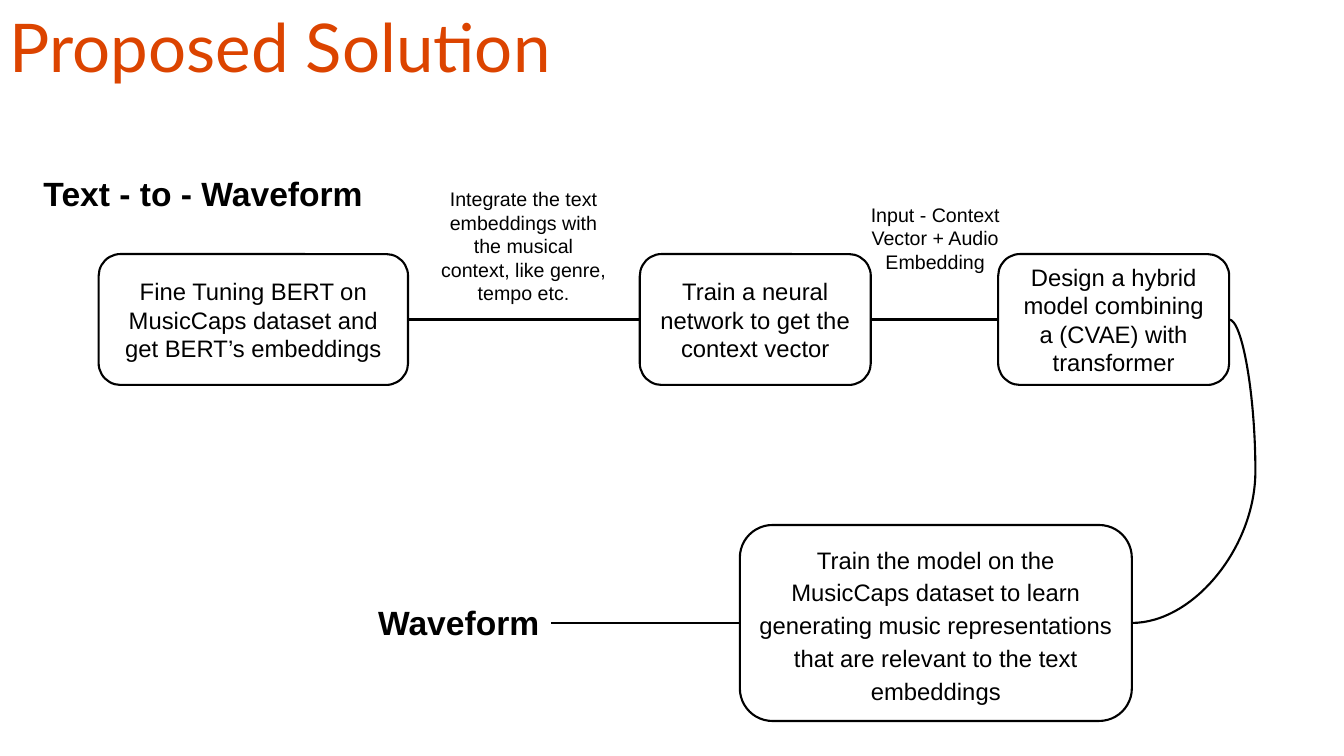
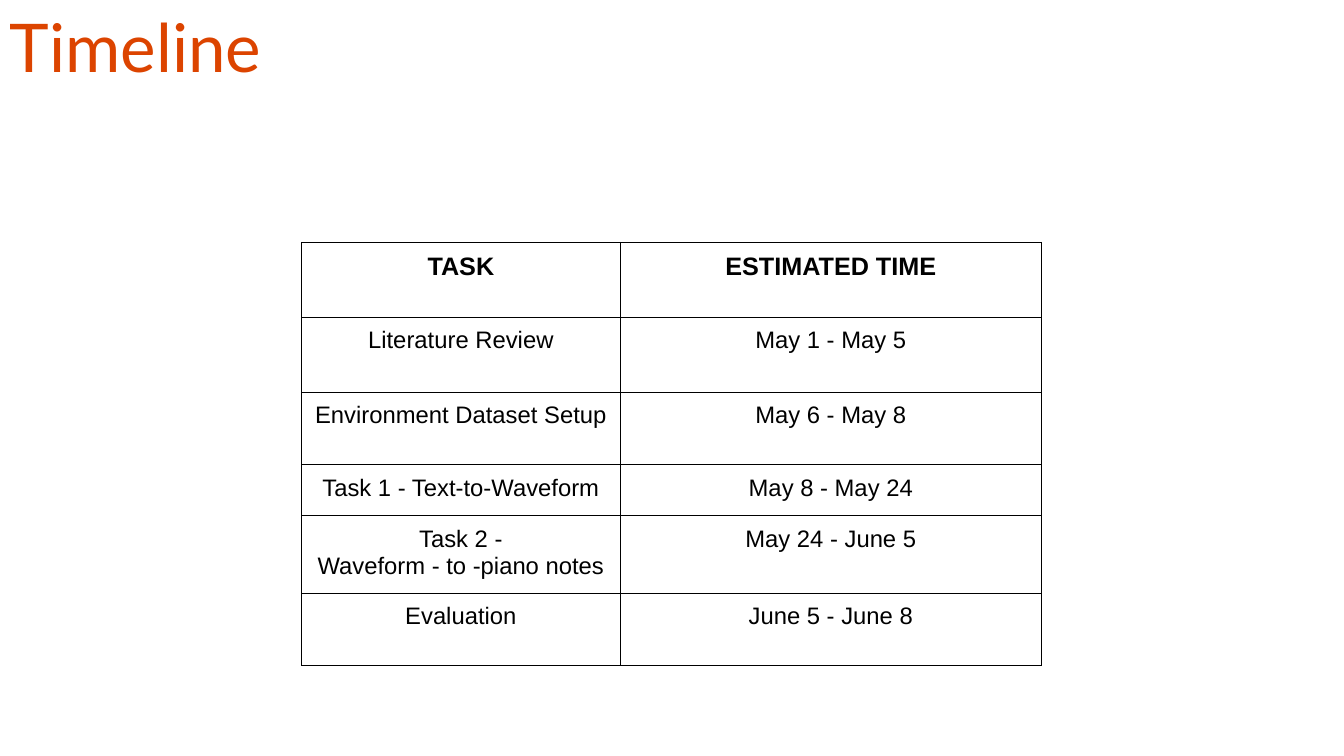
from lxml import etree
from pptx import Presentation
from pptx.dml.color import RGBColor
from pptx.enum.shapes import MSO_CONNECTOR, MSO_SHAPE
from pptx.enum.text import MSO_ANCHOR, PP_ALIGN
from pptx.oxml import parse_xml
from pptx.oxml.ns import nsdecls, qn
from pptx.util import Pt

ROUNDED = MSO_SHAPE.ROUNDED_RECTANGLE
STRAIGHT, CURVE = MSO_CONNECTOR.STRAIGHT, MSO_CONNECTOR.CURVE
LEFT, CENTER = PP_ALIGN.LEFT, PP_ALIGN.CENTER
TOP, MIDDLE = MSO_ANCHOR.TOP, MSO_ANCHOR.MIDDLE
LEFT_SITE, RIGHT_SITE = 1, 3

SLIDE_WIDTH, SLIDE_HEIGHT = 960, 540
ORANGE, BLACK = "DC4400", "000000"
LINE_WIDTH, BORDER_WIDTH = 1.5, 0.75
INSET = 7.2

TITLE = {"name": "Lato", "size": Pt(48), "color": ORANGE}
BODY = {"name": "Arial", "size": Pt(17), "color": BLACK}
HEADING = {**BODY, "size": Pt(24), "bold": True}
NOTE = {**BODY, "size": Pt(14)}
TABLE_HEAD = {**BODY, "size": Pt(18), "bold": True}

SCHEDULE = [
    ("TASK", "ESTIMATED TIME"),
    ("Literature Review", "May 1 - May 5"),
    ("Environment Dataset Setup", "May 6 - May 8"),
    ("Task 1 - Text-to-Waveform", "May 8 - May 24"),
    ("Task 2 -\nWaveform - to -piano notes", "May 24 - June 5"),
    ("Evaluation", "June 5 - June 8"),
]


def rgb(value):
    """Turn a hex string into a colour."""
    return RGBColor.from_string(value)


def points(*values):
    """Turn numbers into lengths in points."""
    return [Pt(value) for value in values]


def write(frame, text, font, align=LEFT, spacing=1.0):
    """Fill a text frame with one paragraph for each line of text."""
    for index, line in enumerate(text.split("\n")):
        paragraph = frame.add_paragraph() if index else frame.paragraphs[0]
        paragraph.alignment, paragraph.line_spacing = align, spacing
        run = paragraph.add_run()
        run.text = line
        for name, value in font.items():
            if name == "color":
                run.font.color.rgb = rgb(value)
            else:
                setattr(run.font, name, value)


def set_frame(frame, anchor, vertical_inset):
    """Set wrapping, anchor and margins of a text frame."""
    settings = {
        "word_wrap": True, "vertical_anchor": anchor,
        "margin_left": Pt(INSET), "margin_right": Pt(INSET),
        "margin_top": Pt(vertical_inset), "margin_bottom": Pt(vertical_inset),
    }
    for name, value in settings.items():
        setattr(frame, name, value)


def add_label(slide, box, text, font, align=LEFT, vertical_inset=INSET):
    """Add a text box."""
    shape = slide.shapes.add_textbox(*points(*box))
    set_frame(shape.text_frame, TOP, vertical_inset)
    write(shape.text_frame, text, font, align)
    return shape


def add_step(slide, box, text, spacing=1.0):
    """Add an outlined rounded box with centred text."""
    shape = slide.shapes.add_shape(ROUNDED, *points(*box))
    shape.shadow.inherit = False
    shape.fill.background()
    shape.line.color.rgb = rgb(BLACK)
    shape.line.width = Pt(LINE_WIDTH)
    set_frame(shape.text_frame, MIDDLE, INSET)
    write(shape.text_frame, text, BODY, CENTER, spacing)
    return shape


def connect(slide, start, start_site, end, end_site, bend=None):
    """Join two shapes by a straight line, or by a curve with the given bend."""
    kind = STRAIGHT if bend is None else CURVE
    connector = slide.shapes.add_connector(kind, 0, 0, 0, 0)
    connector.begin_connect(start, start_site)
    connector.end_connect(end, end_site)
    connector.line.color.rgb = rgb(BLACK)
    connector.line.width = Pt(LINE_WIDTH)
    properties = connector._element.spPr
    etree.SubElement(properties, qn("a:effectLst"))
    if bend is not None:
        geometry = properties.find(qn("a:prstGeom"))
        guides = geometry.find(qn("a:avLst"))
        guide = etree.SubElement(guides, qn("a:gd"))
        guide.set("name", "adj1")
        guide.set("fmla", f"val {round(bend * 100000)}")


def add_titled_slide(presentation, title):
    """Add a blank slide with the shared title style."""
    slide = presentation.slides.add_slide(presentation.slide_layouts[6])
    add_label(slide, (0, 0, 816, 93.5), title, TITLE, vertical_inset=3.6)
    return slide


def add_flow(slide, left, top):
    """Draw the text-to-waveform flow from its upper left corner."""
    def place(x, y, width, height):
        return left + x, top + y, width, height

    row, height = 65, 93.5
    add_label(slide, place(0, 0, 246, 47), "Text - to - Waveform", HEADING)
    tuning = add_step(slide, place(46.5, row, 221, height),
                      "Fine Tuning BERT on MusicCaps dataset and get BERT’s embeddings")
    network = add_step(slide, place(433, row, 165, height),
                       "Train a neural network to get the context vector")
    hybrid = add_step(slide, place(689, row, 165, height),
                      "Design a hybrid model combining a (CVAE) with transformer")
    training = add_step(slide, place(504.5, 258.5, 280, 140),
                        "Train the model on the MusicCaps dataset to learn generating music "
                        "representations that are relevant to the text embeddings", 1.15)
    add_label(slide, place(282, 10, 136, height),
              "Integrate the text embeddings with the musical context, like genre, tempo etc.",
              NOTE, CENTER)
    add_label(slide, place(584, 21, 120, 47),
              "Input - Context Vector + Audio Embedding", NOTE, CENTER)
    waveform = add_label(slide, place(239, 306, 130.5, 45), "Waveform", HEADING)

    connect(slide, tuning, RIGHT_SITE, network, LEFT_SITE)
    connect(slide, network, RIGHT_SITE, hybrid, LEFT_SITE)
    connect(slide, hybrid, RIGHT_SITE, training, RIGHT_SITE, bend=-0.27)
    connect(slide, training, LEFT_SITE, waveform, RIGHT_SITE)


def set_borders(cell):
    """Draw a thin line on all four sides of a cell."""
    properties = cell._tc.get_or_add_tcPr()
    for side in ("lnL", "lnR", "lnT", "lnB"):
        properties.append(parse_xml(
            f'<a:{side} {nsdecls("a")} w="{Pt(BORDER_WIDTH)}"><a:solidFill>'
            f'<a:srgbClr val="{BLACK}"/></a:solidFill></a:{side}>'))


def add_schedule(slide, left, top):
    """Add the table of tasks and times from its upper left corner."""
    widths, heights = (227.5, 301), (53.5, 53.5, 52, 36.5, 53.5, 51.5)
    box = points(left, top, sum(widths), sum(heights))
    table = slide.shapes.add_table(len(heights), len(widths), *box).table
    table.first_row = table.horz_banding = False
    for column, width in zip(table.columns, widths):
        column.width = Pt(width)
    for index, (row, height) in enumerate(zip(table.rows, heights)):
        row.height = Pt(height)
        for cell, text in zip(row.cells, SCHEDULE[index]):
            set_borders(cell)
            cell.fill.background()
            for side in ("left", "right", "top", "bottom"):
                setattr(cell, f"margin_{side}", Pt(INSET))
            write(cell.text_frame, text, BODY if index else TABLE_HEAD, CENTER)


def main():
    """Build and save the presentation."""
    presentation = Presentation()
    presentation.slide_width, presentation.slide_height = points(SLIDE_WIDTH, SLIDE_HEIGHT)
    add_flow(add_titled_slide(presentation, "Proposed Solution"), 24, 116.5)
    add_schedule(add_titled_slide(presentation, "Timeline"), 215.5, 173)
    presentation.save("out.pptx")


if __name__ == "__main__":
    main()
